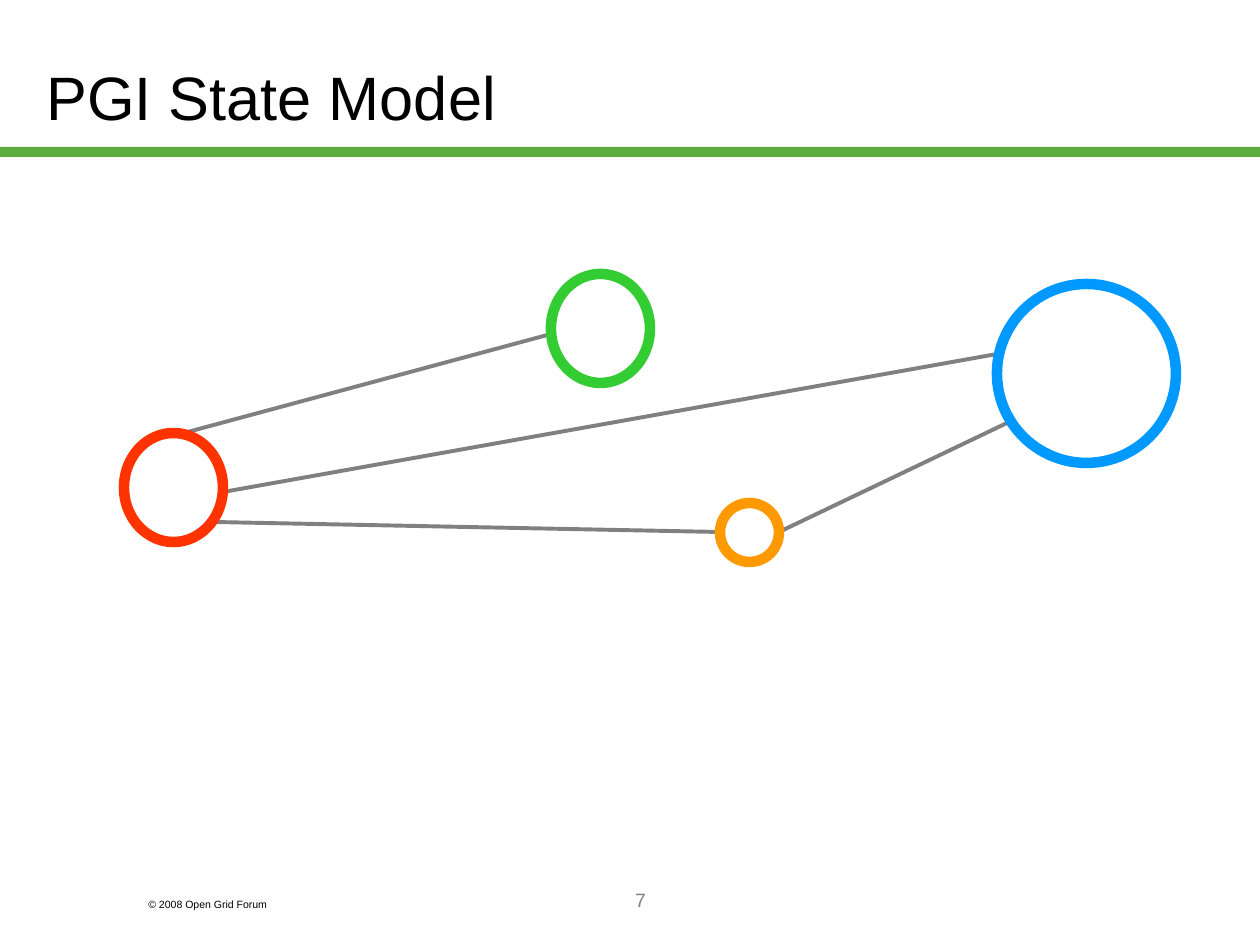
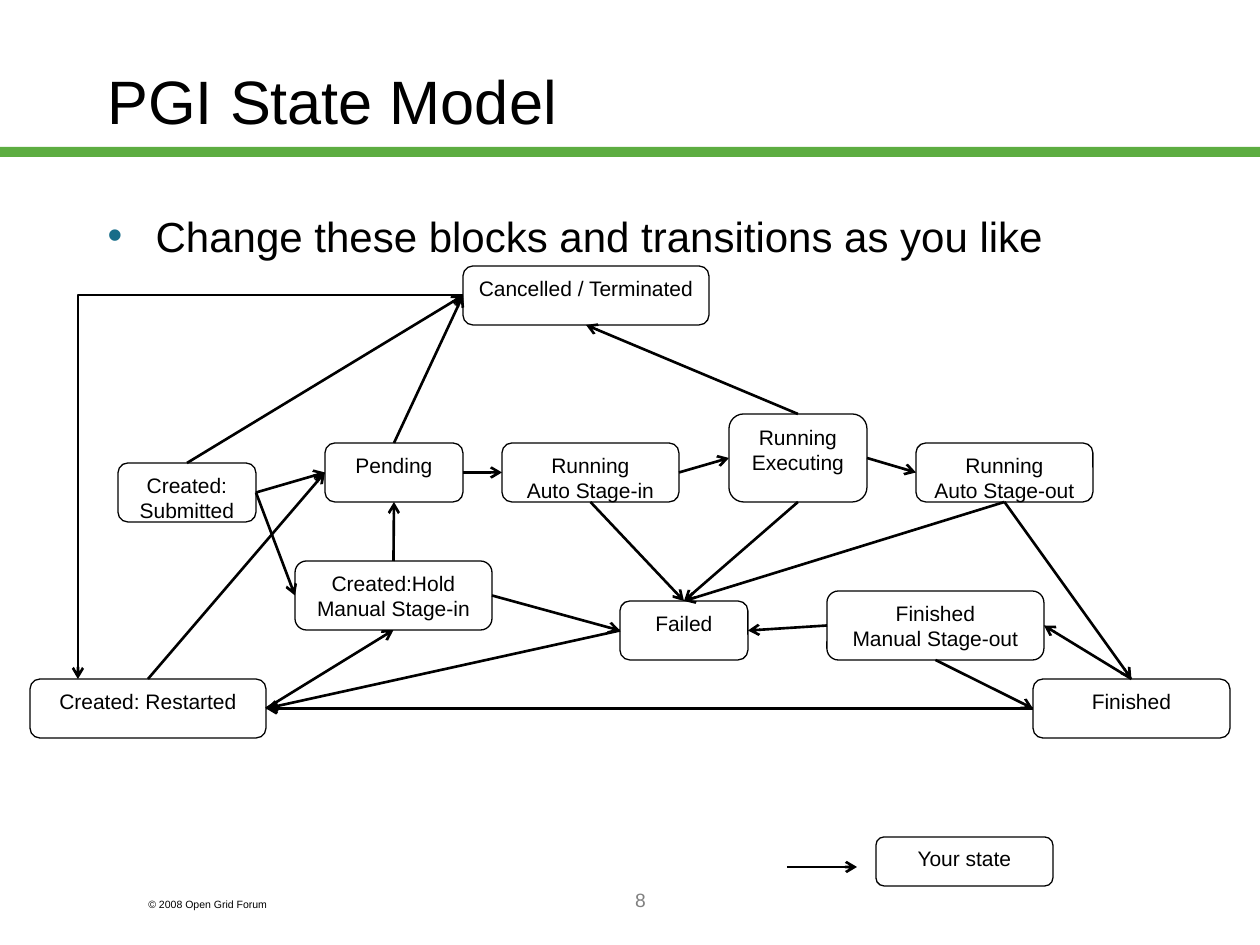
from lxml.etree import SubElement
from pptx import Presentation
from pptx.dml.color import RGBColor
from pptx.enum.shapes import MSO_CONNECTOR, MSO_SHAPE
from pptx.enum.text import MSO_ANCHOR, MSO_AUTO_SIZE, PP_ALIGN
from pptx.oxml.ns import qn
from pptx.util import Emu, Pt


class Theme:
    font = "Arial"
    black = RGBColor.from_string("000000")
    white = RGBColor.from_string("FFFFFF")
    gray = RGBColor.from_string("808080")
    band = RGBColor.from_string("5DAD41")
    red = RGBColor.from_string("FF3300")
    blue = RGBColor.from_string("0099FF")
    green = RGBColor.from_string("33CC33")
    orange = RGBColor.from_string("FF9900")
    bullet = "176D89"
    title_size = 35
    body_size = 24
    state_size = 12
    number_size = 11
    copyright_size = 6


PX = 914400 / 126
TOP, LEFT, BOTTOM, RIGHT = range(4)


def px(*lengths):
    return [Emu(round(length * PX)) for length in lengths]


def write(paragraph, text, size, color=Theme.black, align=PP_ALIGN.LEFT):
    paragraph.alignment = align
    run = paragraph.add_run()
    run.text = text
    run.font.name = Theme.font
    run.font.size = Pt(size)
    run.font.color.rgb = color


presentation = Presentation()
presentation.slide_width, presentation.slide_height = px(1260, 945)
title_only, title_and_body = (presentation.slide_layouts[i] for i in (5, 1))

# Titles and slide numbers
slides = []
for layout, number, title_box in (
    (title_only, "7", (34, 38, 1191, 117)),
    (title_and_body, "8", (95, 21, 1071, 158)),
):
    slide = presentation.slides.add_slide(layout)
    slides.append(slide)
    title = slide.shapes.title
    title.left, title.top, title.width, title.height = px(*title_box)
    title.text_frame.auto_size = MSO_AUTO_SIZE.NONE
    title.text_frame.vertical_anchor = MSO_ANCHOR.MIDDLE
    write(title.text_frame.paragraphs[0], "PGI State Model", Theme.title_size)
    number_box = slide.shapes.add_textbox(*px(273, 882, 735, 63))
    number_box.text_frame.word_wrap = True
    write(number_box.text_frame.paragraphs[0], number, Theme.number_size,
          Theme.gray, PP_ALIGN.CENTER)
network_slide, states_slide = slides

# Band and copyright line, moved to the slide master
band = network_slide.shapes.add_shape(MSO_SHAPE.RECTANGLE, *px(0, 147, 1260, 10))
band.shadow.inherit = False
band.fill.solid()
band.fill.fore_color.rgb = Theme.band
band.line.fill.background()
copyright_box = network_slide.shapes.add_textbox(*px(136, 892, 189, 25))
copyright_box.text_frame.word_wrap = True
write(copyright_box.text_frame.paragraphs[0], "© 2008 Open Grid Forum",
      Theme.copyright_size)
for shape_id, shape in enumerate((band, copyright_box), start=101):
    shape.element.nvSpPr.cNvPr.set("id", str(shape_id))
    presentation.slide_master.shapes.element.append(shape.element)

# Network of circles; links lie behind them
links = []
for ends in (
    (779, 532, 1007, 423),
    (213, 522, 719, 532),
    (223, 492, 997, 354),
    (184, 433, 551, 334),
):
    links.append(network_slide.shapes.add_connector(MSO_CONNECTOR.STRAIGHT, *px(*ends)))

for circle_box, color in (
    ((124, 433, 99, 109), Theme.red),
    ((997, 284, 179, 179), Theme.blue),
    ((551, 274, 99, 109), Theme.green),
    ((720, 503, 59, 59), Theme.orange),
):
    circle = network_slide.shapes.add_shape(MSO_SHAPE.OVAL, *px(*circle_box))
    circle.shadow.inherit = False
    circle.fill.solid()
    circle.fill.fore_color.rgb = Theme.white
    circle.line.color.rgb = color
    circle.line.width = Pt(6)

# Bulleted line above the state diagram
body = states_slide.placeholders[1]
body.left, body.top, body.width, body.height = px(95, 214, 1165, 55)
body.text_frame.auto_size = MSO_AUTO_SIZE.NONE
paragraph = body.text_frame.paragraphs[0]
properties = paragraph._p.get_or_add_pPr()
indent = px(48)[0]
properties.set("marL", str(indent))
properties.set("indent", str(-indent))
bullet_color = SubElement(properties, qn("a:buClr"))
SubElement(bullet_color, qn("a:srgbClr"), val=Theme.bullet)
SubElement(properties, qn("a:buChar"), char="•")
paragraph.line_spacing = 0.8
paragraph.space_before = Pt(0)
write(paragraph, "Change these blocks and transitions as you like", Theme.body_size)

# State boxes
states = {}
for name, lines, state_box in (
    ("submitted", ["Created:", "Submitted"], (118, 463, 138, 59)),
    ("hold", ["Created:Hold", "Manual Stage-in"], (295, 561, 197, 69)),
    ("legend", ["Your state"], (876, 837, 177, 49)),
    ("pending", ["Pending"], (325, 443, 138, 59)),
    ("cancelled", ["Cancelled / Terminated"], (463, 266, 246, 59)),
    ("finished", ["Finished"], (1033, 679, 197, 59)),
    ("restarted", ["Created: Restarted"], (30, 679, 236, 59)),
    ("stage in", ["Running", "Auto Stage-in"], (502, 443, 177, 59)),
    ("executing", ["Running", "Executing"], (729, 414, 138, 88)),
    ("stage out", ["Running", "Auto Stage-out"], (916, 443, 177, 59)),
    ("manual out", ["Finished", "Manual Stage-out"], (827, 591, 217, 69)),
    ("failed", ["Failed"], (620, 601, 128, 59)),
):
    state = states_slide.shapes.add_shape(MSO_SHAPE.ROUNDED_RECTANGLE, *px(*state_box))
    state.shadow.inherit = False
    state.fill.solid()
    state.fill.fore_color.rgb = Theme.white
    state.line.color.rgb = Theme.black
    state.line.width = Pt(0.75)
    frame = state.text_frame
    frame.word_wrap = False
    frame.vertical_anchor = MSO_ANCHOR.TOP
    for index, line in enumerate(lines):
        paragraph = frame.add_paragraph() if index else frame.paragraphs[0]
        write(paragraph, line, Theme.state_size, align=PP_ALIGN.CENTER)
    states[name] = state

# Transitions between the states
arrows = []
for source, source_side, target, target_side in (
    ("submitted", RIGHT, "hold", LEFT),
    ("submitted", RIGHT, "pending", LEFT),
    ("submitted", TOP, "cancelled", LEFT),
    ("hold", TOP, "pending", BOTTOM),
    ("hold", RIGHT, "failed", LEFT),
    ("pending", TOP, "cancelled", LEFT),
    ("pending", RIGHT, "stage in", LEFT),
    ("restarted", TOP, "pending", LEFT),
    ("restarted", RIGHT, "hold", BOTTOM),
    ("stage in", RIGHT, "executing", LEFT),
    ("stage in", BOTTOM, "failed", TOP),
    ("executing", RIGHT, "stage out", LEFT),
    ("executing", TOP, "cancelled", BOTTOM),
    ("executing", BOTTOM, "failed", TOP),
    ("stage out", BOTTOM, "finished", TOP),
    ("stage out", BOTTOM, "failed", TOP),
    ("finished", TOP, "manual out", RIGHT),
    ("finished", LEFT, "restarted", RIGHT),
    ("manual out", BOTTOM, "finished", LEFT),
    ("manual out", LEFT, "failed", RIGHT),
    ("failed", LEFT, "restarted", RIGHT),
):
    arrow = states_slide.shapes.add_connector(MSO_CONNECTOR.STRAIGHT, 0, 0, 0, 0)
    arrow.begin_connect(states[source], source_side)
    arrow.end_connect(states[target], target_side)
    arrows.append(arrow)

legend_arrow = states_slide.shapes.add_connector(
    MSO_CONNECTOR.STRAIGHT, *px(787, 867, 857, 867))
restart_arrow = states_slide.shapes.add_connector(
    MSO_CONNECTOR.ELBOW, *px(463, 295, 78, 679))
restart_arrow.element.spPr.find(qn("a:prstGeom")).set("prst", "bentConnector2")
arrows += [legend_arrow, restart_arrow]

# Line style of links and arrows
for connectors, color, width, has_head in (
    (links, Theme.gray, 2.25, False),
    (arrows, Theme.black, 1.5, True),
):
    for connector in connectors:
        connector.line.color.rgb = color
        connector.line.width = Pt(width)
        shape_properties = connector.element.spPr
        if has_head:
            SubElement(shape_properties.find(qn("a:ln")), qn("a:tailEnd"), type="arrow")
        SubElement(shape_properties, qn("a:effectLst"))

presentation.save("out.pptx")
